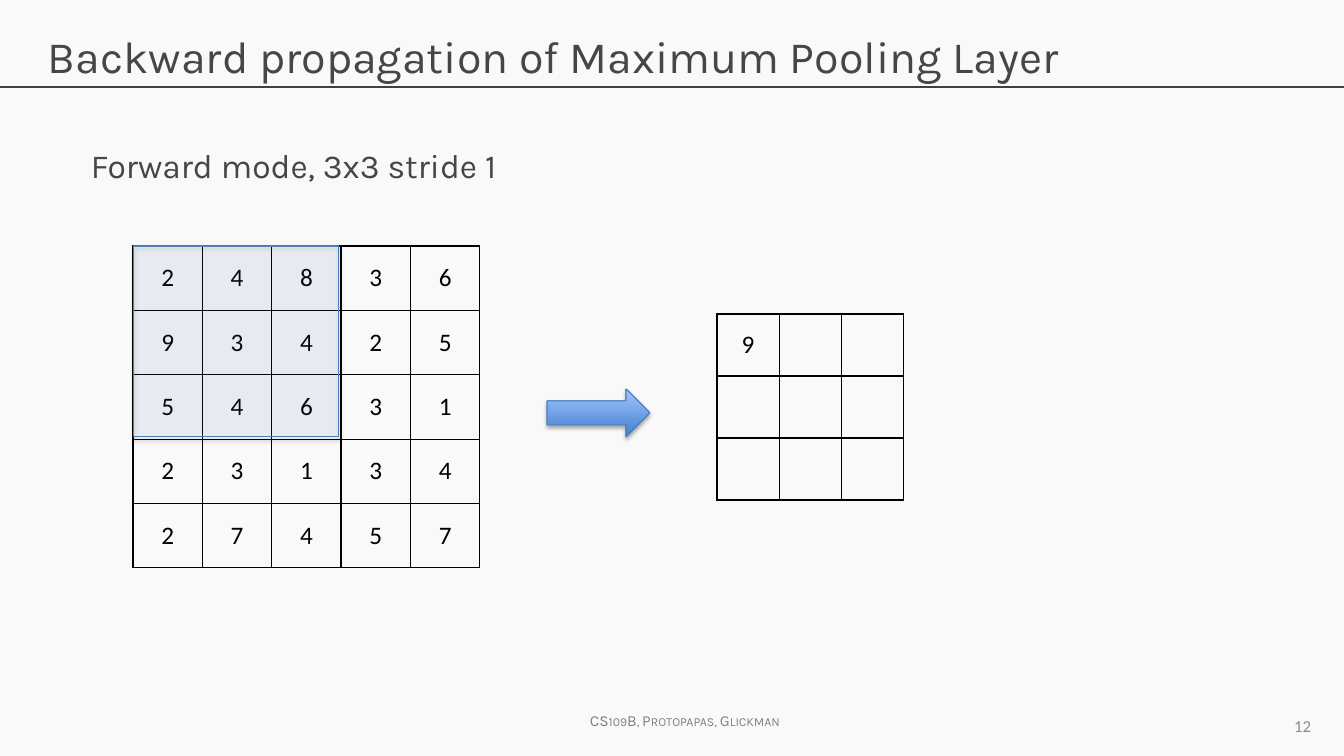
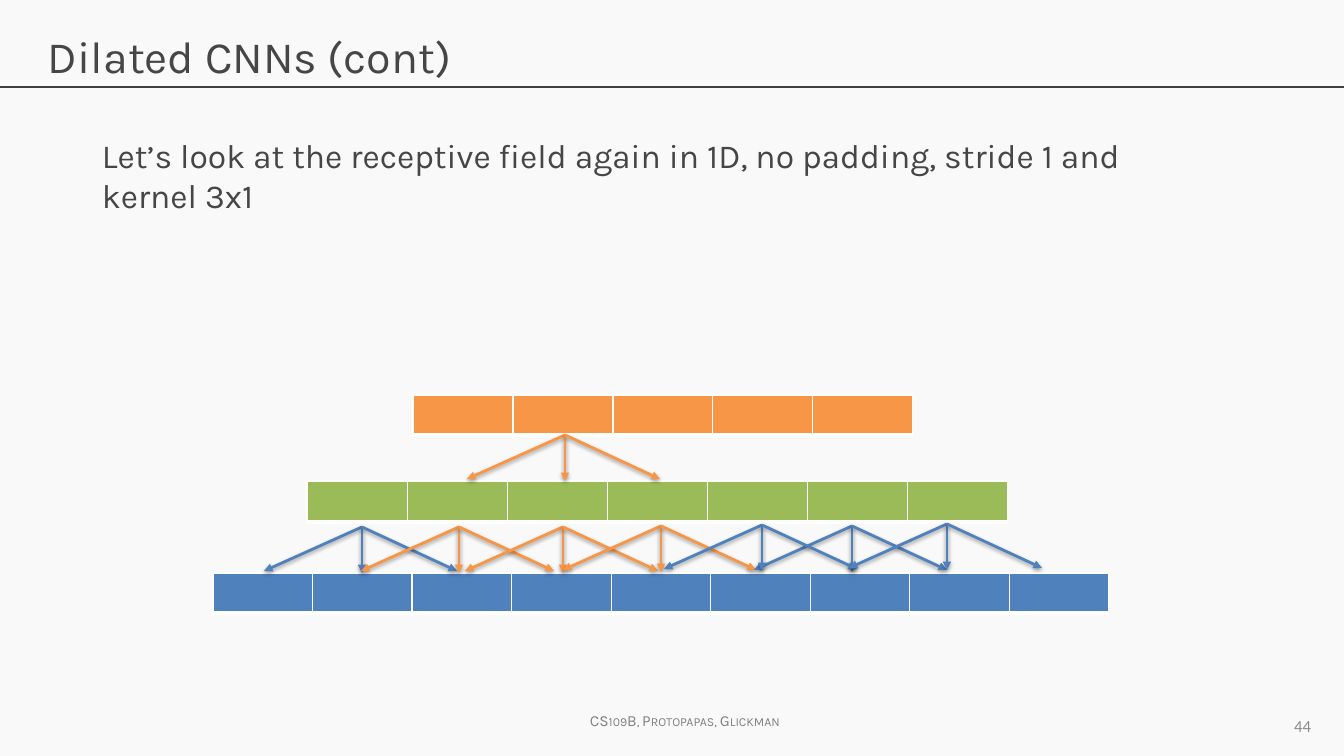
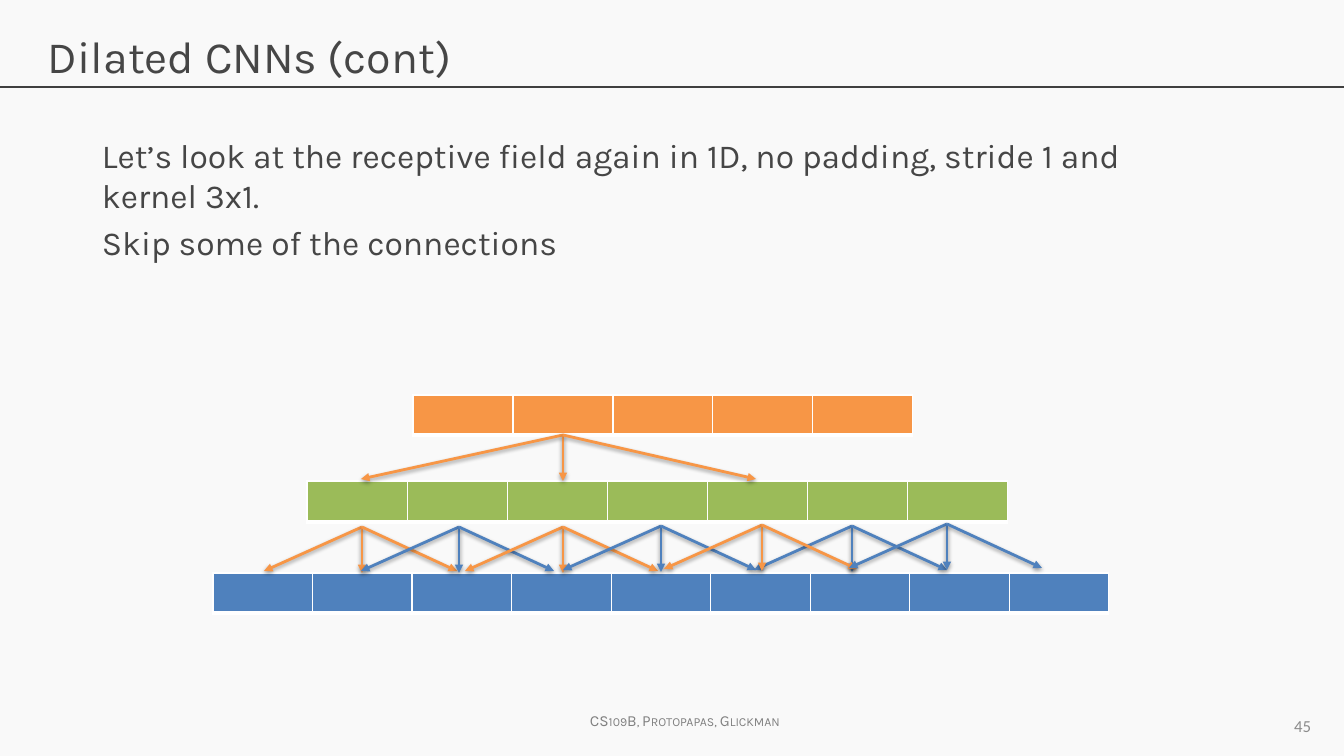
"""Build three lecture slides on max pooling and dilated CNNs."""
import lxml.etree
import pptx
import pptx.dml.color
import pptx.enum.shapes
import pptx.enum.text
import pptx.oxml.ns
import pptx.util

SCALE = 914400 / 100.8
SLIDE_SIZE = (1344, 756)
BACKGROUND, TEXT, BLACK, WHITE = "F9F9F9", "464646", "000000", "FFFFFF"
BLUE, GREEN, ORANGE, OUTLINE = "4F81BD", "9BBB59", "F79646", "4B7EBC"
ALIGN = pptx.enum.text.PP_ALIGN
ANCHOR = pptx.enum.text.MSO_ANCHOR
SHAPE = pptx.enum.shapes.MSO_SHAPE

FOOTER = "CS109B, Protopapas, Glickman"
POOL_INPUT = ["24836", "93425", "54631", "23134", "27457"]
POOL_OUTPUT = ["9  ", "   ", "   "]
BLACK_BORDERS = {"L": (BLACK, 1), "R": (BLACK, 1), "T": (BLACK, 1), "B": (BLACK, 1)}
WHITE_BORDERS = {"L": (WHITE, 1), "R": (WHITE, 1), "T": (WHITE, 1), "B": (WHITE, 3)}

LAYERS = [
    (BLUE, 9, (213, 573, 896, 40)),
    (GREEN, 7, (307, 481, 701, 41)),
    (ORANGE, 5, (413, 395, 500, 40)),
]
FAN_APEXES = [(362, 527), (459, 527), (563, 527), (661, 526),
              (852, 526), (762, 525), (947, 524)]
NEAR_SPREAD, WIDE_SPREAD = (-98, 0, 95), (-202, 0, 193)
RECEPTIVE_FIELD = "Let’s look at the receptive field again in 1D, no padding, stride 1 and kernel 3x1"
DILATED_SLIDES = [
    {"number": 44, "lines": [RECEPTIVE_FIELD],
     "fan_colors": [BLUE, ORANGE, ORANGE, ORANGE, BLUE, BLUE, BLUE],
     "top_apex": (565, 435), "top_spread": NEAR_SPREAD},
    {"number": 45, "lines": [RECEPTIVE_FIELD + ".", "Skip some of the connections"],
     "fan_colors": [ORANGE, BLUE, ORANGE, BLUE, BLUE, ORANGE, BLUE],
     "top_apex": (563, 435), "top_spread": WIDE_SPREAD},
]


def px(*lengths):
    return [pptx.util.Emu(round(length * SCALE)) for length in lengths]


def color(value):
    return pptx.dml.color.RGBColor.from_string(value)


def add_xml(parent, tag, **attributes):
    return lxml.etree.SubElement(parent, pptx.oxml.ns.qn(tag), attributes)


def write(frame, lines, size=24, font="Karla", fill=TEXT, align=ALIGN.LEFT,
          anchor=ANCHOR.TOP, wrap=True, small_caps=False):
    frame.word_wrap = wrap
    frame.vertical_anchor = anchor
    for index, line in enumerate(lines):
        paragraph = frame.add_paragraph() if index else frame.paragraphs[0]
        paragraph.alignment = align
        if index:
            paragraph.space_before = pptx.util.Pt(size * 0.2)
        run = paragraph.add_run()
        run.text = line
        run.font.size = pptx.util.Pt(size)
        run.font.name = font
        run.font.color.rgb = color(fill)
        if small_caps:
            run.font._element.set("cap", "small")


def add_text(slide, box, *lines, **text_format):
    write(slide.shapes.add_textbox(*px(*box)).text_frame, lines, **text_format)


def add_shadow(effects, distance, alpha):
    shadow = add_xml(effects, "a:outerShdw", blurRad="40000", dist=str(distance),
                     dir="5400000", rotWithShape="0")
    add_xml(add_xml(shadow, "a:srgbClr", val=BLACK), "a:alpha", val=str(alpha))


def add_line(slide, start, end, fill, width, arrow=False):
    connector = slide.shapes.add_connector(
        pptx.enum.shapes.MSO_CONNECTOR.STRAIGHT, *px(*start, *end))
    connector.line.color.rgb = color(fill)
    connector.line.width = pptx.util.Pt(width)
    properties = connector._element.spPr
    effects = add_xml(properties, "a:effectLst")
    if arrow:
        add_xml(properties.find(pptx.oxml.ns.qn("a:ln")), "a:tailEnd", type="triangle")
        add_shadow(effects, 20000, 38000)


def add_fan(slide, apex, spread, fill):
    x, y = apex
    for offset in spread:
        add_line(slide, apex, (x + offset, y + (44 if offset else 46)), fill, 2, arrow=True)


def add_shape(slide, kind, box):
    shape = slide.shapes.add_shape(kind, *px(*box))
    shape.line.color.rgb = color(OUTLINE)
    shape.line.width = pptx.util.Pt(0.75)
    shape.shadow.inherit = False
    effects = shape._element.spPr.find(pptx.oxml.ns.qn("a:effectLst"))
    add_shadow(effects, 23000, 35000)
    return shape


def add_grid(slide, box, rows, borders, fill=None):
    table = slide.shapes.add_table(len(rows), len(rows[0]), *px(*box)).table
    table.first_row = table.horz_banding = False
    for row_index, row in enumerate(rows):
        for column_index, value in enumerate(row):
            cell = table.cell(row_index, column_index)
            cell.margin_top = cell.margin_bottom = 0
            cell.vertical_anchor = ANCHOR.MIDDLE
            if value.strip():
                write(cell.text_frame, [value], size=18, font="Calibri", fill=BLACK,
                      align=ALIGN.CENTER)
                cell.vertical_anchor = ANCHOR.MIDDLE
            properties = cell._tc.get_or_add_tcPr()
            for side, (line_color, width) in borders.items():
                line = add_xml(properties, "a:ln" + side, w=str(pptx.util.Pt(width)))
                add_xml(add_xml(line, "a:solidFill"), "a:srgbClr", val=line_color)
            if fill:
                cell.fill.solid()
                cell.fill.fore_color.rgb = color(fill)
            else:
                cell.fill.background()


def add_slide(presentation, title, number):
    slide = presentation.slides.add_slide(presentation.slide_layouts[6])
    add_line(slide, (0, 87), (SLIDE_SIZE[0], 87), "404040", 0.75)
    add_text(slide, (580, 706, 221, 29), FOOTER, size=11, fill="808080",
             wrap=False, small_caps=True)
    add_text(slide, (38, 24, 1267, 85), title, size=32)
    add_text(slide, (1008, 706, 313, 40), str(number), size=12, font="Calibri",
             fill="8C8C8C", align=ALIGN.RIGHT, anchor=ANCHOR.MIDDLE)
    return slide


def build_pooling(presentation):
    slide = add_slide(presentation, "Backward propagation of Maximum Pooling Layer", 12)
    add_grid(slide, (133, 246, 347, 322), POOL_INPUT, BLACK_BORDERS)
    window = add_shape(slide, SHAPE.RECTANGLE, (134, 246, 205, 191))
    window.fill.solid()
    window.fill.fore_color.rgb = color(BLUE)
    window_color = window._element.spPr.find(pptx.oxml.ns.qn("a:solidFill"))[0]
    add_xml(window_color, "a:alpha", val="7000")
    arrow = add_shape(slide, SHAPE.RIGHT_ARROW, (547, 389, 103, 48))
    arrow.fill.gradient()
    arrow.fill.gradient_angle = 90
    for stop, stop_color in zip(arrow.fill.gradient_stops, ("3F80CE", "A4C4FF")):
        stop.color.rgb = color(stop_color)
    add_grid(slide, (717, 314, 187, 186), POOL_OUTPUT, BLACK_BORDERS)
    add_text(slide, (81, 140, 1138, 90), "Forward mode, 3x3 stride 1")


def build_dilated(presentation, content):
    slide = add_slide(presentation, "Dilated CNNs (cont)", content["number"])
    add_text(slide, (92, 130, 1138, 233), *content["lines"])
    for fill, count, box in LAYERS:
        add_grid(slide, box, [" " * count], WHITE_BORDERS, fill)
    for apex, fill in zip(FAN_APEXES, content["fan_colors"]):
        add_fan(slide, apex, NEAR_SPREAD, fill)
    add_fan(slide, content["top_apex"], content["top_spread"], ORANGE)


def main():
    presentation = pptx.Presentation()
    presentation.slide_width, presentation.slide_height = px(*SLIDE_SIZE)
    background = presentation.slide_master.background.fill
    background.solid()
    background.fore_color.rgb = color(BACKGROUND)
    build_pooling(presentation)
    for content in DILATED_SLIDES:
        build_dilated(presentation, content)
    presentation.save("out.pptx")


if __name__ == "__main__":
    main()
